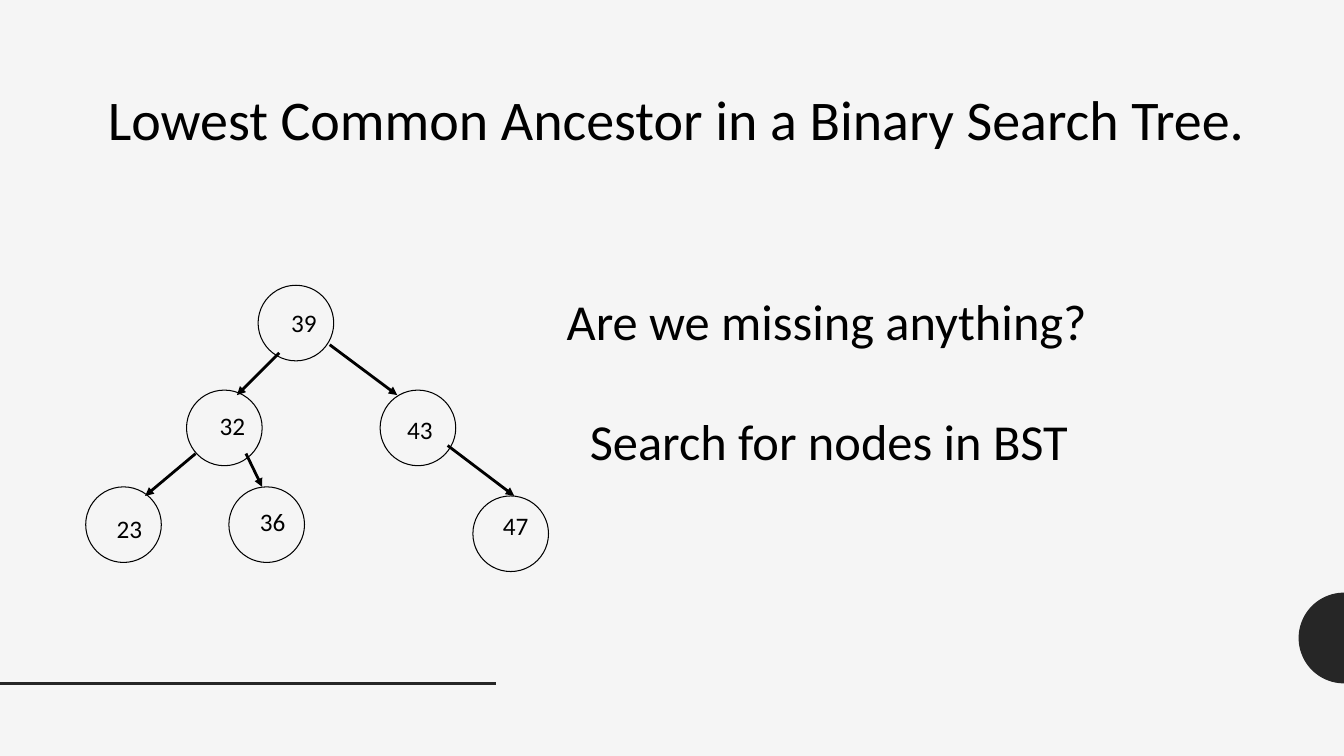
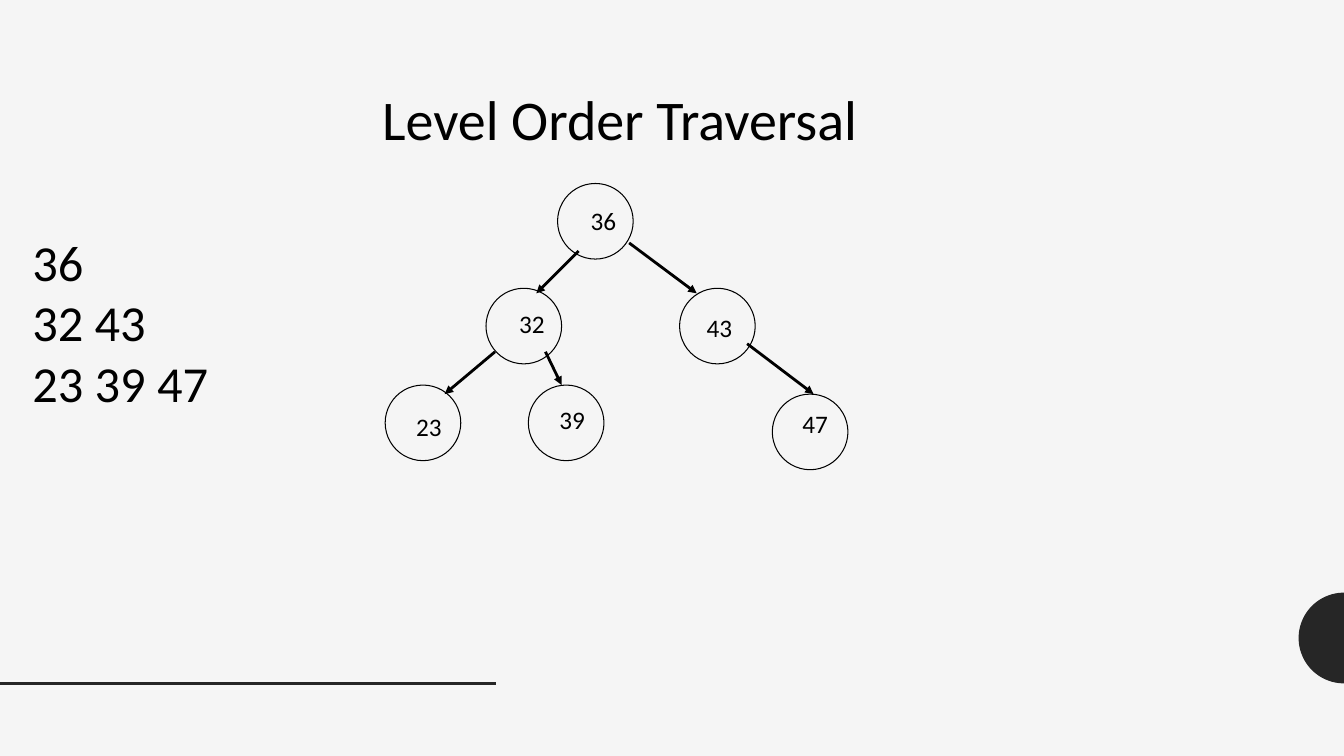
from dataclasses import dataclass
from math import cos, pi, sin

from lxml.etree import SubElement
from pptx import Presentation
from pptx.dml.color import RGBColor
from pptx.enum.shapes import MSO_CONNECTOR as Connector, MSO_SHAPE as Preset
from pptx.enum.text import MSO_ANCHOR as Anchor, MSO_AUTO_SIZE as AutoSize, PP_ALIGN as Align
from pptx.oxml.ns import qn
from pptx.util import Inches, Pt


@dataclass(frozen=True)
class Theme:
    font: str = "Calibri"
    ink: RGBColor = RGBColor(0x00, 0x00, 0x00)
    accent: RGBColor = RGBColor(0x26, 0x26, 0x26)
    paper: RGBColor = RGBColor(0xF5, 0xF5, 0xF5)
    title_size: int = 40
    body_size: int = 36
    label_size: int = 18
    line_width: float = 2
    outline_width: float = 0.75


@dataclass(frozen=True)
class Node:
    x: float
    y: float
    label_dx: float
    label_dy: float


@dataclass(frozen=True)
class Arrow:
    x1: float
    y1: float
    x2: float
    y2: float


@dataclass(frozen=True)
class Body:
    text: str
    left: float
    top: float
    width: float
    height: float


@dataclass(frozen=True)
class Lesson:
    layout: int
    title: str
    title_left: float
    title_width: float
    root: tuple[float, float]
    values: tuple[int, ...]
    bodies: tuple[Body, ...]


THEME = Theme()
SLIDE_WIDTH, SLIDE_HEIGHT = 13.33, 7.5
NODE_SIZE = 0.75
TITLE_TOP, TITLE_HEIGHT = 0.79, 0.77
ONE_BODY, TWO_BODIES = 1, 3

NODES = (
    Node(0, 0, 0.23, 0.17),
    Node(-0.71, 1.04, 0.23, 0.15),
    Node(1.21, 1.04, 0.17, 0.19),
    Node(-1.71, 2.0, 0.21, 0.21),
    Node(-0.29, 2.0, 0.21, 0.14),
    Node(2.13, 2.09, 0.2, 0.09),
)
ARROWS = (
    Arrow(0.21, 0.67, -0.21, 1.09),
    Arrow(0.71, 0.59, 1.38, 1.09),
    Arrow(-0.62, 1.67, -1.12, 2.09),
    Arrow(-0.12, 1.67, 0.04, 2.0),
    Arrow(1.88, 1.59, 2.54, 2.09),
)
LESSONS = (
    Lesson(
        TWO_BODIES, "Lowest Common Ancestor in a Binary Search Tree.", 0.97, 11.78,
        (2.56, 2.83), (39, 32, 43, 23, 36, 47),
        (
            Body("Are we missing anything?", 5.52, 2.83, 7.03, 0.71),
            Body("Search for nodes in BST", 5.75, 4.02, 6.15, 0.71),
        ),
    ),
    Lesson(
        ONE_BODY, "Level Order Traversal", 3.69, 9.5,
        (5.53, 1.82), (36, 32, 43, 23, 39, 47),
        (Body("36\n32 43\n23 39 47", 0.22, 2.24, 11.54, 1.92),),
    ),
)


def place(box, left: float, top: float, width: float, height: float) -> None:
    box.left, box.top = Inches(left), Inches(top)
    box.width, box.height = Inches(width), Inches(height)


def write(box, text: str, *, size: int) -> None:
    frame = box.text_frame
    frame.text = text
    frame.word_wrap = True
    frame.auto_size = AutoSize.NONE
    frame.vertical_anchor = Anchor.TOP
    for element in box.element.iter(qn("a:p")):
        properties = element.get_or_add_pPr()
        properties.set("marL", "0")
        properties.set("indent", "0")
        SubElement(properties, qn("a:buNone"))
    for para in frame.paragraphs:
        para.alignment = Align.LEFT
        para.space_before = Pt(0)
        for span in para.runs:
            span.font.name = THEME.font
            span.font.size = Pt(size)
            span.font.color.rgb = THEME.ink


def draw_line(page, start: tuple[float, float], end: tuple[float, float], *,
              color: RGBColor, arrowhead: bool = False):
    line = page.shapes.add_connector(
        Connector.STRAIGHT, *(Inches(value) for value in (*start, *end)))
    line.line.color.rgb = color
    line.line.width = Pt(THEME.line_width)
    properties = line.element.spPr
    if arrowhead:
        SubElement(properties.find(qn("a:ln")), qn("a:tailEnd"), type="triangle")
    SubElement(properties, qn("a:effectLst"))
    return line


def draw_half_disc(page):
    radius, center_y, steps = 0.45, 6.33, 48
    angles = [pi / 2 + pi * step / steps for step in range(steps + 1)]
    points = [
        (Inches(SLIDE_WIDTH + radius * cos(angle)), Inches(center_y + radius * sin(angle)))
        for angle in angles
    ]
    builder = page.shapes.build_freeform(*points[0])
    builder.add_line_segments(points[1:], close=True)
    disc = builder.convert_to_shape()
    disc.shadow.inherit = False
    disc.fill.solid()
    disc.fill.fore_color.rgb = THEME.accent
    disc.line.fill.background()
    return disc


def decorate_master(deck, page) -> None:
    master = deck.slide_master
    master.background.fill.solid()
    master.background.fill.fore_color.rgb = THEME.paper
    decorations = (
        draw_half_disc(page),
        draw_line(page, (0, 6.78), (4.92, 6.78), color=THEME.accent),
    )
    for number, shape in enumerate(decorations):
        shape.element.xpath(".//p:cNvPr")[0].set("id", str(100 + number))
        master.shapes.element.insert(2 + number, shape.element)


def draw_tree(page, root: tuple[float, float], values: tuple[int, ...]) -> None:
    left, top = root
    for node in NODES:
        circle = page.shapes.add_shape(Preset.OVAL, 0, 0, 0, 0)
        place(circle, left + node.x, top + node.y, NODE_SIZE, NODE_SIZE)
        circle.shadow.inherit = False
        circle.fill.background()
        circle.line.color.rgb = THEME.ink
        circle.line.width = Pt(THEME.outline_width)
    for arrow in ARROWS:
        draw_line(page, (left + arrow.x1, top + arrow.y1),
                  (left + arrow.x2, top + arrow.y2), color=THEME.ink, arrowhead=True)
    for node, value in zip(NODES, values):
        label = page.shapes.add_textbox(0, 0, 0, 0)
        place(label, left + node.x + node.label_dx, top + node.y + node.label_dy, 0.5, 0.4)
        write(label, str(value), size=THEME.label_size)


def add_lesson(deck, lesson: Lesson):
    page = deck.slides.add_slide(deck.slide_layouts[lesson.layout])
    title, *boxes = list(page.placeholders)[:len(lesson.bodies) + 1]
    place(title, lesson.title_left, TITLE_TOP, lesson.title_width, TITLE_HEIGHT)
    write(title, lesson.title, size=THEME.title_size)
    for box, body in zip(boxes, lesson.bodies):
        place(box, body.left, body.top, body.width, body.height)
        write(box, body.text, size=THEME.body_size)
    draw_tree(page, lesson.root, lesson.values)
    return page


def main() -> None:
    deck = Presentation()
    deck.slide_width, deck.slide_height = Inches(SLIDE_WIDTH), Inches(SLIDE_HEIGHT)
    pages = [add_lesson(deck, lesson) for lesson in LESSONS]
    decorate_master(deck, pages[0])
    deck.save("out.pptx")


if __name__ == "__main__":
    main()
